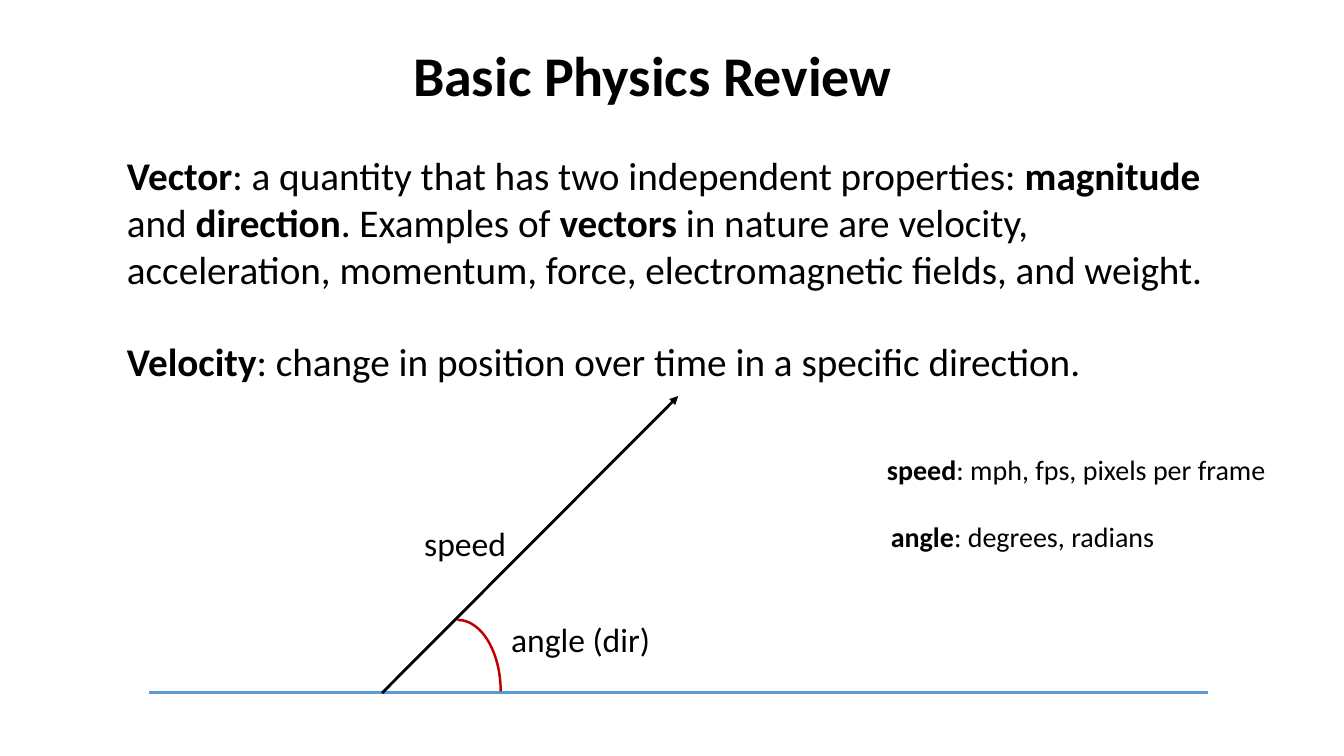
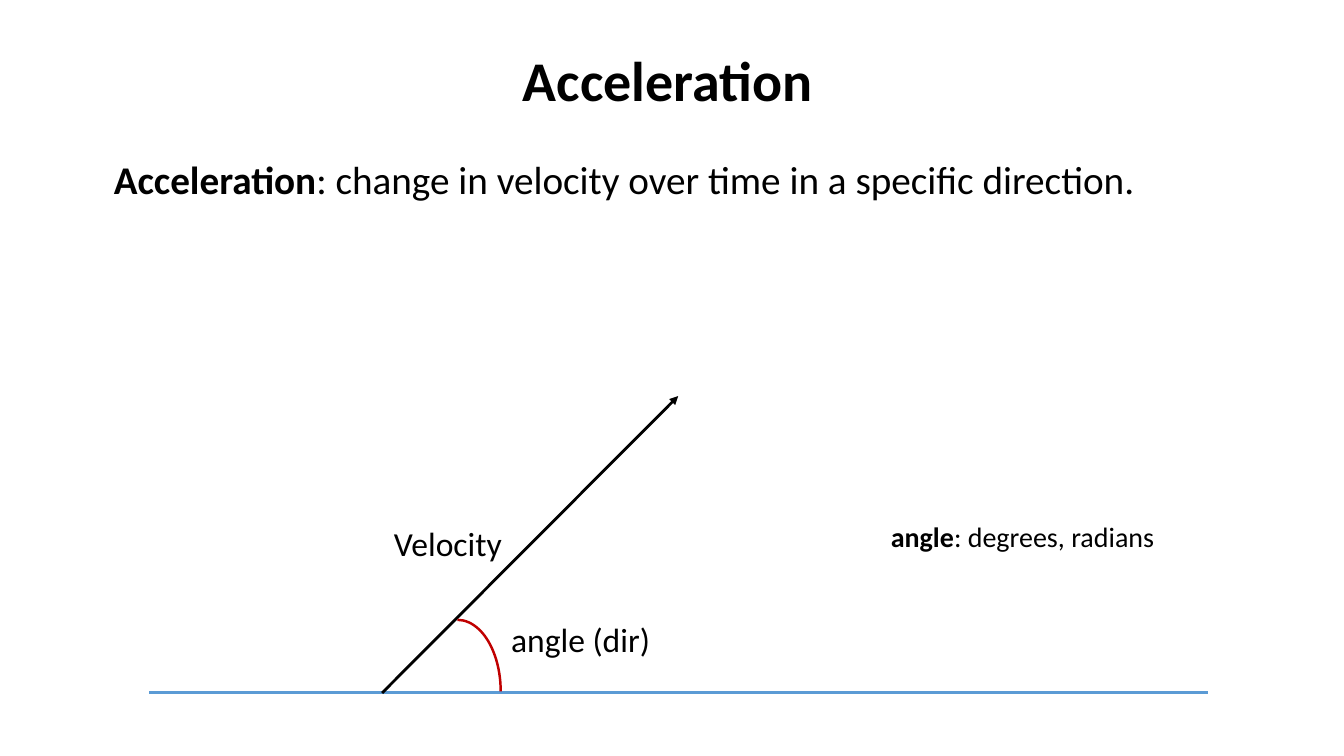
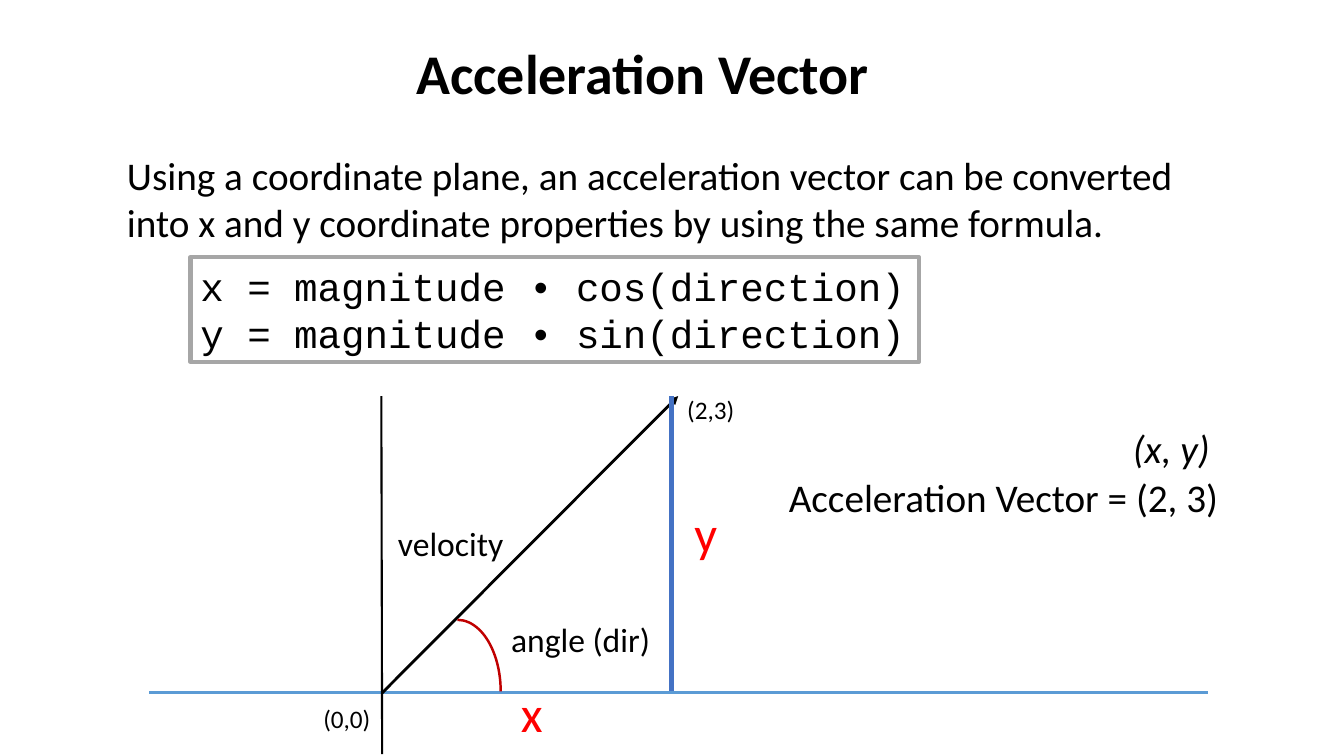
from dataclasses import dataclass

from lxml.etree import SubElement
from pptx import Presentation
from pptx.dml.color import RGBColor
from pptx.enum.shapes import MSO_CONNECTOR, MSO_SHAPE
from pptx.enum.text import MSO_AUTO_SIZE
from pptx.oxml.ns import qn
from pptx.util import Cm, Pt


@dataclass(frozen=True)
class Theme:
    font: str = "Calibri"
    code_font: str = "Courier New"
    title_size: int = 40
    component_size: int = 36
    body_size: int = 28
    label_size: int = 24
    note_size: int = 20
    point_size: int = 18
    black: str = "000000"
    red: str = "FF0000"
    arc: str = "C00000"
    ground: str = "5B9BD5"
    component: str = "4472C4"
    frame: str = "A6A6A6"


THEME = Theme()

# Lengths in centimetres
ORIGIN_X, GROUND_Y = 9.63, 17.46
TIP_X, TIP_Y = 17.09, 9.98
BODY_LEFT, BODY_TOP, BODY_WIDTH = 2.95, 3.68, 27.94
LINE_HEIGHT = 1.45
LABEL_TOP = 13.04


def set_line(shape, color, width):
    shape.line.color.rgb = RGBColor.from_string(color)
    shape.line.width = Pt(width)


def add_text(slide, text, left, top, width, height, *, size=THEME.body_size,
             font=THEME.font, color=THEME.black, bold=False, italic=False, wrap=False):
    """Add a text box; words between asterisks are bold, each line is a paragraph."""
    shape = slide.shapes.add_textbox(Cm(left), Cm(top), Cm(width), Cm(height))
    frame = shape.text_frame
    frame.word_wrap = wrap
    frame.auto_size = MSO_AUTO_SIZE.SHAPE_TO_FIT_TEXT
    for index, line in enumerate(text.split("\n")):
        paragraph = frame.add_paragraph() if index else frame.paragraphs[0]
        for part, words in enumerate(line.split("*")):
            if not words:
                continue
            run = paragraph.add_run()
            run.text = words
            run.font.name = font
            run.font.size = Pt(size)
            run.font.bold = bold or part % 2 == 1
            run.font.italic = italic
            run.font.color.rgb = RGBColor.from_string(color)
    return shape


def add_line(slide, start, end, color, width, arrow=False):
    connector = slide.shapes.add_connector(
        MSO_CONNECTOR.STRAIGHT, *(Cm(value) for value in (*start, *end)))
    set_line(connector, color, width)
    if arrow:
        SubElement(connector.line._get_or_add_ln(), qn("a:tailEnd"), type="triangle")
    SubElement(connector._element.spPr, qn("a:effectLst"))


def add_title(slide, text, left, top, width=13.06):
    add_text(slide, text, left, top, width, 1.96,
             size=THEME.title_size, bold=True, wrap=True)


def add_label(slide, text, left, top, width):
    add_text(slide, text, left, top, width, 1.27, size=THEME.label_size)


def add_note(slide, text, left, top, width):
    add_text(slide, text, left, top, width, 1.12, size=THEME.note_size)


def add_angle_note(slide):
    add_note(slide, "*angle*: degrees, radians", 22.2, 12.97, 7.21)


def add_component_name(slide, text, left, top):
    add_text(slide, text, left, top, 1.09, 1.8,
             size=THEME.component_size, color=THEME.red)


def add_point_name(slide, text, left, top):
    add_text(slide, text, left, top, 1.73, 1.02, size=THEME.point_size)


def add_vector_diagram(slide, name, name_left, name_width):
    """Draw the ground line, the vector with its name, and its angle."""
    add_line(slide, (3.76, GROUND_Y), (30.45, GROUND_Y), THEME.ground, 2)
    add_line(slide, (ORIGIN_X, GROUND_Y), (TIP_X, TIP_Y), THEME.black, 2, arrow=True)
    arc = slide.shapes.add_shape(MSO_SHAPE.ARC, Cm(10.44), Cm(15.62), Cm(2.18), Cm(3.61))
    arc.shadow.inherit = False
    arc.fill.background()
    set_line(arc, THEME.arc, 1.75)
    add_label(slide, name, name_left, LABEL_TOP, name_width)
    add_label(slide, "angle (dir)", 12.63, 15.47, 4.14)


def build_review(slide):
    add_title(slide, "Basic Physics Review", 10.16, 0.89)
    add_text(slide, "*Vector*: a quantity that has two independent properties: "
             "*magnitude* and *direction*. Examples of *vectors* in nature are "
             "velocity, acceleration, momentum, force, electromagnetic fields, "
             "and weight.", BODY_LEFT, BODY_TOP, BODY_WIDTH, 3.84, wrap=True)
    add_text(slide, "*Velocity*: change in position over time in a specific direction.",
             BODY_LEFT, 8.38, 24.84, LINE_HEIGHT)
    add_vector_diagram(slide, "speed", 10.44, 2.59)
    add_note(slide, "*speed*: mph, fps, pixels per frame", 22.1, 11.28, 10.16)
    add_angle_note(slide)


def build_acceleration(slide):
    add_title(slide, "Acceleration", 12.93, 1.03, 10.85)
    add_text(slide, "*Acceleration*: change in velocity over time in a specific direction.",
             2.62, 3.78, 26.54, LINE_HEIGHT)
    add_vector_diagram(slide, "Velocity", 9.68, 3.25)
    add_angle_note(slide)


def build_acceleration_vector(slide):
    add_title(slide, "Acceleration Vector", 10.24, 0.84)
    add_text(slide, "Using a coordinate plane, an acceleration vector can be converted "
             "into x and y coordinate properties by using the same formula.",
             BODY_LEFT, BODY_TOP, BODY_WIDTH, 2.64, wrap=True)
    formula = add_text(slide, "x = magnitude • cos(direction)\ny = magnitude • sin(direction)",
                       4.8, 6.48, 18.36, 2.64, font=THEME.code_font, wrap=True)
    set_line(formula, THEME.frame, 3)

    add_vector_diagram(slide, "velocity", 9.78, 3.2)
    add_line(slide, (16.92, TIP_Y), (16.92, 17.42), THEME.component, 3)
    add_line(slide, (ORIGIN_X, 19), (9.61, TIP_Y), THEME.black, 1.5)
    add_point_name(slide, "(0,0)", 7.9, 17.6)
    add_point_name(slide, "(2,3)", 17.07, 9.8)
    add_component_name(slide, "x", 12.88, 17.07)
    add_component_name(slide, "y", 17.25, 12.52)
    add_text(slide, "(x, y)", 28.3, 10.57, 2.6, LINE_HEIGHT, italic=True)
    add_text(slide, "Acceleration Vector = (2, 3)", 19.63, 11.81, 11.46, LINE_HEIGHT)


def main():
    presentation = Presentation()
    presentation.slide_width, presentation.slide_height = Cm(33.87), Cm(19.05)
    blank = presentation.slide_layouts[6]
    for build in (build_review, build_acceleration, build_acceleration_vector):
        build(presentation.slides.add_slide(blank))
    presentation.save("out.pptx")


if __name__ == "__main__":
    main()
